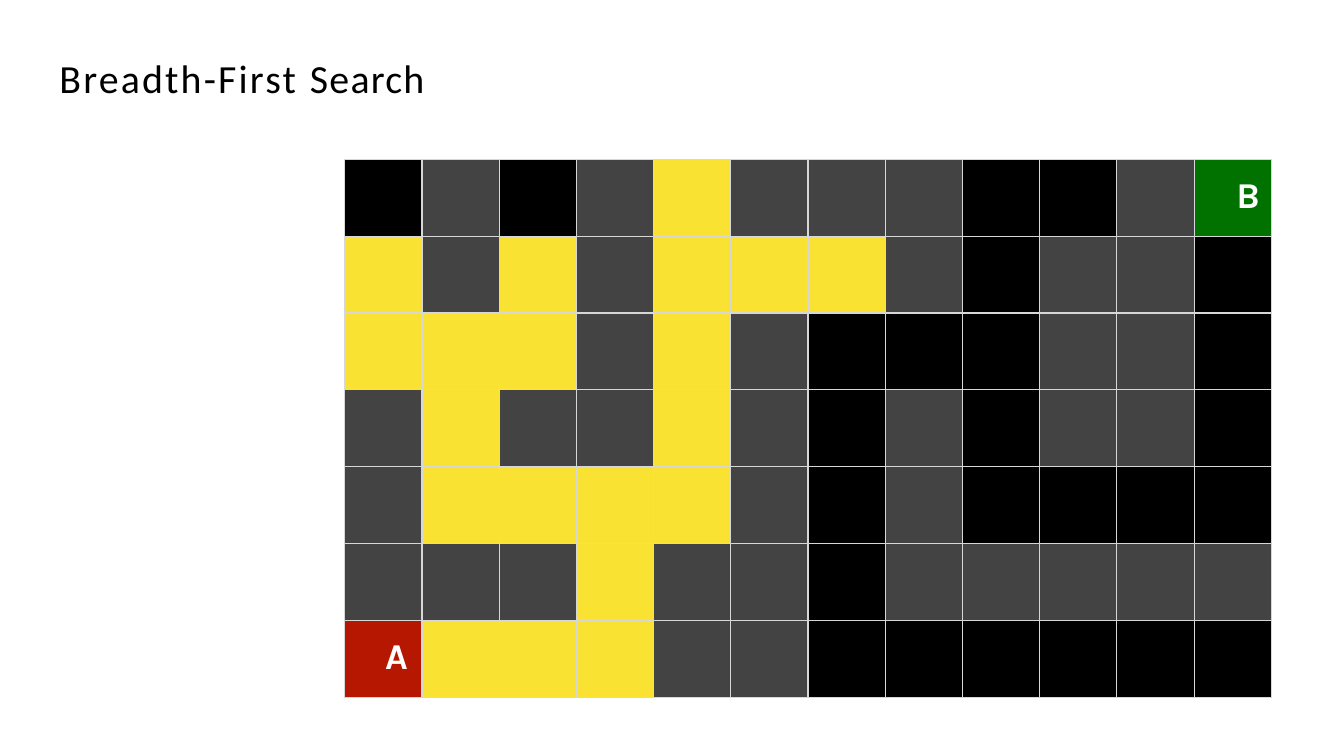
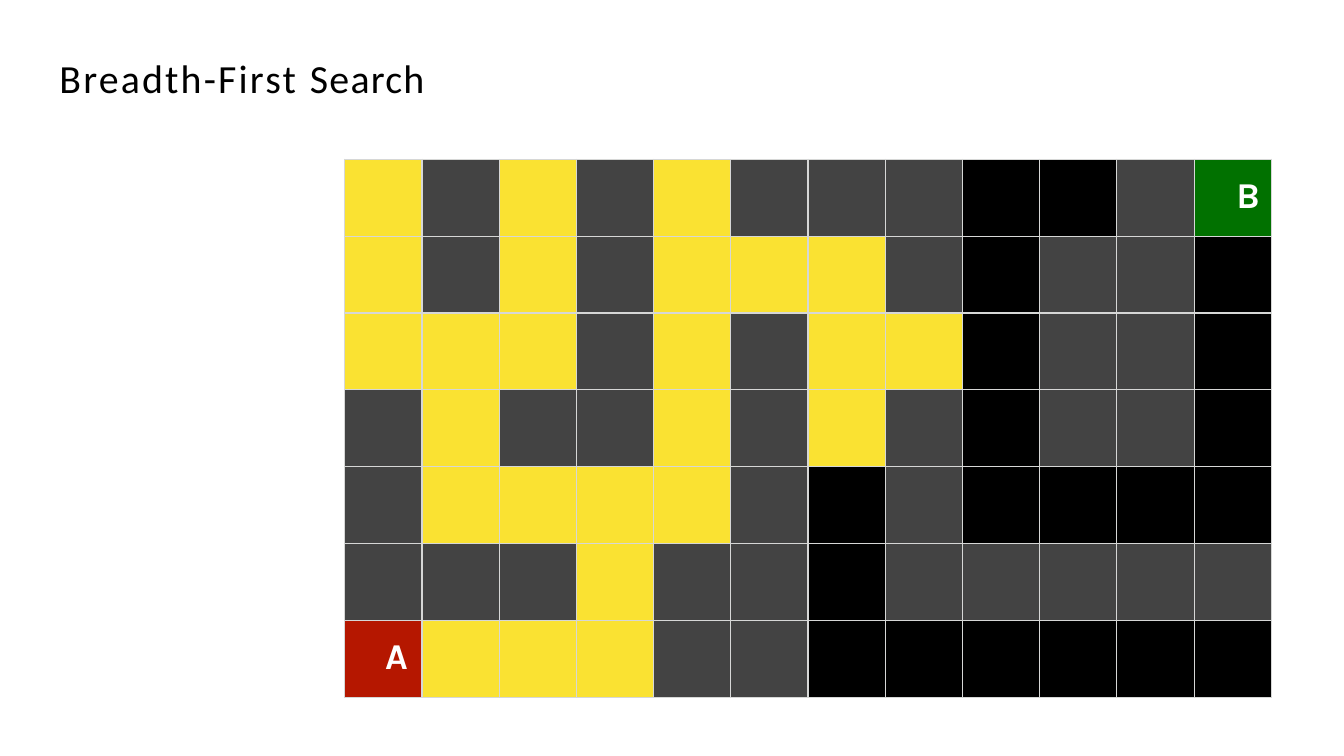
"""Build two slides that show breadth-first search spreading through a maze."""
from collections import deque
from dataclasses import dataclass

from lxml.etree import SubElement
from pptx import Presentation
from pptx.dml.color import RGBColor
from pptx.enum.text import MSO_ANCHOR, MSO_AUTO_SIZE, PP_ALIGN
from pptx.oxml.ns import qn
from pptx.util import Inches, Pt


@dataclass(frozen=True)
class Theme:
    ink: str = "000000"
    light: str = "FFFFFF"
    wall: str = "434343"
    open: str = "000000"
    seen: str = "FAE232"
    start: str = "B51700"
    goal: str = "017100"
    rule: str = "D6D7D6"
    rule_size: float = 1
    head_font: str = "Calibri"
    head_size: float = 28.5
    mark_font: str = "Karla"
    mark_size: float = 26


theme = Theme()
maze = [
    ".#.#.###..#B",
    ".#.#...#.##.",
    "...#.#...##.",
    "#.##.#.#.##.",
    "#....#.#....",
    "###.##.#####",
    "A...##......",
]
rows, cols = len(maze), len(maze[0])
fills = {"#": theme.wall, ".": theme.open, "A": theme.start, "B": theme.goal}
marks = {"A": (0.4, 0.15), "B": (0.42, 0.16)}
words = [("Breadth-First ", 160), ("Search", 90)]
limits = [11, 13]


def style(font, name, size, color, bold):
    font.name, font.size, font.bold = name, Pt(size), bold
    font.color.rgb = RGBColor.from_string(color)


def border(cell):
    props = cell._tc.get_or_add_tcPr()
    for side in ("lnL", "lnR", "lnT", "lnB"):
        line = SubElement(props, qn(f"a:{side}"), w=str(Pt(theme.rule_size)))
        fill = SubElement(line, qn("a:solidFill"))
        SubElement(fill, qn("a:srgbClr"), val=theme.rule)


start = (rows - 1, 0)
steps = {start: 0}
queue = deque([start])
while queue:
    row, col = queue.popleft()
    for near in ((row - 1, col), (row + 1, col), (row, col - 1), (row, col + 1)):
        inside = 0 <= near[0] < rows and 0 <= near[1] < cols
        if inside and near not in steps and maze[near[0]][near[1]] != "#":
            steps[near] = steps[row, col] + 1
            queue.append(near)

deck = Presentation()
deck.slide_width, deck.slide_height = Inches(13.33), Inches(7.5)

for limit in limits:
    slide = deck.slides.add_slide(deck.slide_layouts[5])
    title = slide.shapes.title
    title.left, title.top = Inches(0.58), Inches(0.52)
    title.width, title.height = Inches(4.05), Inches(0.49)
    frame = title.text_frame
    frame.word_wrap = True
    frame.auto_size = MSO_AUTO_SIZE.SHAPE_TO_FIT_TEXT
    frame.vertical_anchor = MSO_ANCHOR.MIDDLE
    frame.margin_left = frame.margin_right = frame.margin_bottom = 0
    frame.margin_top = Inches(0.01)
    para = frame.paragraphs[0]
    para.alignment = PP_ALIGN.LEFT
    para._p.get_or_add_pPr().set("marL", str(Inches(0.01)))
    style(para.font, theme.head_font, theme.head_size, theme.ink, False)
    for word, space in words:
        run = para.add_run()
        run.text = word
        run._r.get_or_add_rPr().set("spc", str(space))

    grid = slide.shapes.add_table(
        rows, cols, Inches(3.42), Inches(1.58), Inches(9.19), Inches(5.34)
    ).table
    grid.first_row = grid.horz_banding = False
    for row, line in enumerate(maze):
        for col, kind in enumerate(line):
            cell = grid.cell(row, col)
            border(cell)
            seen = kind == "." and steps.get((row, col), limit + 1) <= limit
            cell.fill.solid()
            color = theme.seen if seen else fills[kind]
            cell.fill.fore_color.rgb = RGBColor.from_string(color)
            if kind in marks:
                indent, top = marks[kind]
                cell.margin_left = cell.margin_right = cell.margin_bottom = 0
                cell.margin_top = Inches(top)
                para = cell.text_frame.paragraphs[0]
                para.text = kind
                para._p.get_or_add_pPr().set("marL", str(Inches(indent)))
                style(para.font, theme.mark_font, theme.mark_size, theme.light, True)

deck.save("out.pptx")
